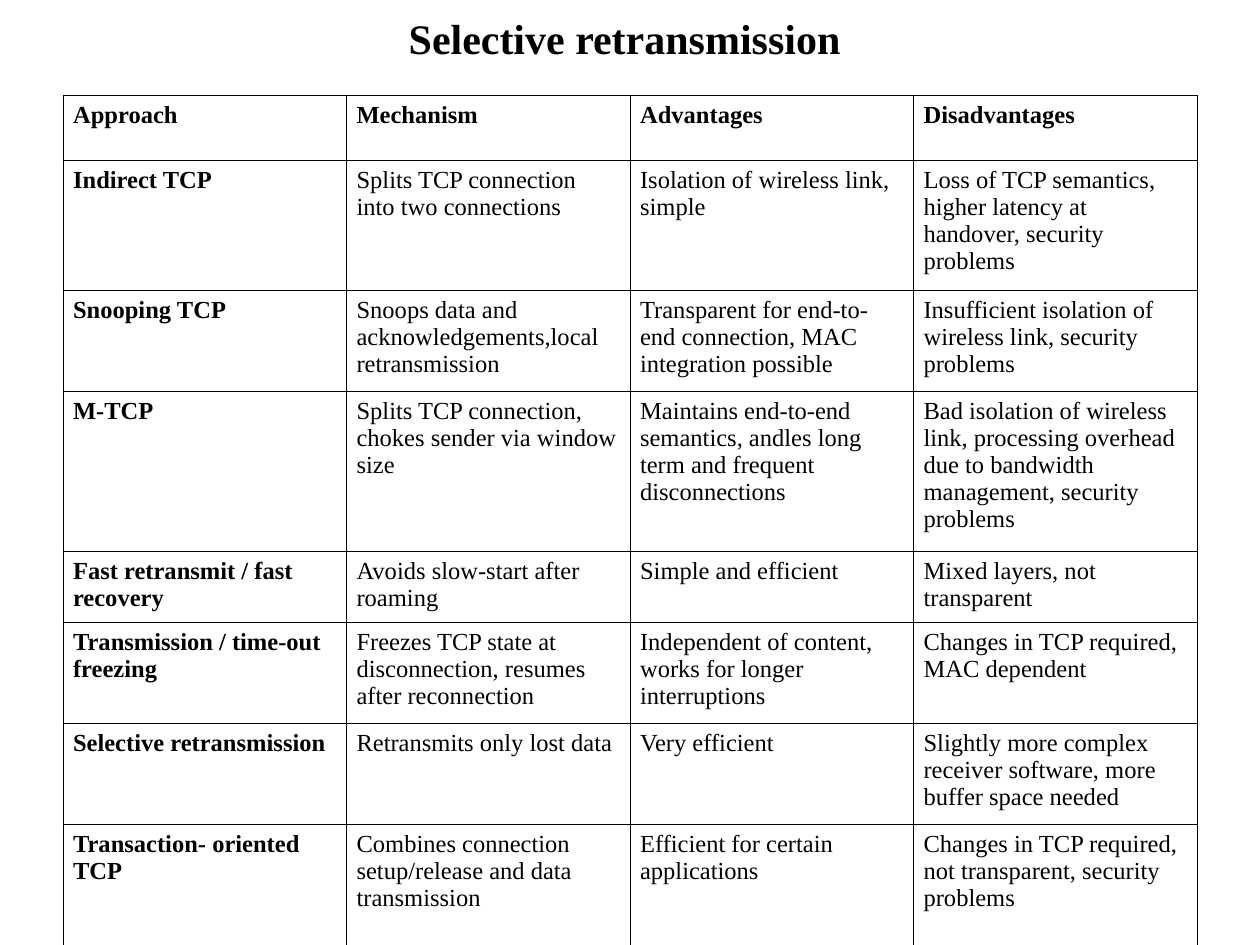
"""Build a slide comparing approaches to TCP over wireless links."""
from dataclasses import dataclass

from lxml.etree import SubElement
from pptx import Presentation
from pptx.dml.color import RGBColor as Color
from pptx.enum.text import MSO_ANCHOR as Anchor, PP_ALIGN as Align
from pptx.oxml.ns import qn
from pptx.util import Inches, Pt


@dataclass(frozen=True)
class Theme:
    font: str = "Times New Roman"
    ink: str = "000000"
    title_size: int = 24
    cell_size: int = 14
    rule: float = 0.45


THEME = Theme()


def write(frame, text, size=THEME.cell_size, bold=False, align=Align.LEFT):
    frame.word_wrap = True
    paragraph = frame.paragraphs[0]
    paragraph.alignment = align
    run = paragraph.add_run()
    run.text = text
    run.font.name = THEME.font
    run.font.size = Pt(size)
    run.font.bold = bold
    run.font.color.rgb = Color.from_string(THEME.ink)


def rule_cell(cell):
    properties = cell._tc.get_or_add_tcPr()
    for side in ("lnL", "lnR", "lnT", "lnB"):
        line = SubElement(properties, qn(f"a:{side}"), w=str(Pt(THEME.rule)))
        fill = SubElement(line, qn("a:solidFill"))
        SubElement(fill, qn("a:srgbClr"), val=THEME.ink)


APPROACHES = [
    (0.51, "Approach", "Mechanism", "Advantages", "Disadvantages"),
    (1.01, "Indirect TCP", "Splits TCP connection into two connections",
     "Isolation of wireless link, simple",
     "Loss of TCP semantics, higher latency at handover, security problems"),
    (0.76, "Snooping TCP", "Snoops data and acknowledgements,local retransmission",
     "Transparent for end-to-end connection, MAC integration possible",
     "Insufficient isolation of wireless link, security problems"),
    (1.26, "M-TCP", "Splits TCP connection, chokes sender via window size",
     "Maintains end-to-end semantics, andles long term and frequent disconnections",
     "Bad isolation of wireless link, processing overhead due to bandwidth "
     "management, security problems"),
    (0.5, "Fast retransmit / fast recovery", "Avoids slow-start after roaming",
     "Simple and efficient", "Mixed layers, not transparent"),
    (0.76, "Transmission / time-out freezing",
     "Freezes TCP state at disconnection, resumes after reconnection",
     "Independent of content, works for longer interruptions",
     "Changes in TCP required, MAC dependent"),
    (0.76, "Selective retransmission", "Retransmits only lost data", "Very efficient",
     "Slightly more complex receiver software, more buffer space needed"),
    (1.01, "Transaction- oriented TCP",
     "Combines connection setup/release and data transmission",
     "Efficient for certain applications",
     "Changes in TCP required, not transparent, security problems"),
]

deck = Presentation()
deck.slide_width, deck.slide_height = Inches(10), Inches(7.5)
slide = deck.slides.add_slide(deck.slide_layouts[6])
margin = deck.slide_width // 20
content_width = deck.slide_width - 2 * margin

heading = slide.shapes.add_textbox(margin, Inches(0.07), content_width, Inches(0.46)).text_frame
heading.vertical_anchor = Anchor.MIDDLE
write(heading, "Selective retransmission ", size=THEME.title_size, bold=True, align=Align.CENTER)

table_height = Inches(sum(height for height, *_ in APPROACHES))
comparison = slide.shapes.add_table(
    len(APPROACHES), 4, margin, Inches(0.76), content_width, table_height).table
comparison.first_row = comparison.horz_banding = False

for row, (height, *facts) in enumerate(APPROACHES):
    comparison.rows[row].height = Inches(height)
    for column, fact in enumerate(facts):
        cell = comparison.cell(row, column)
        cell.margin_left = cell.margin_right = Inches(0.08)
        cell.margin_top = cell.margin_bottom = Inches(0.05)
        rule_cell(cell)
        cell.fill.background()
        write(cell.text_frame, fact, bold=row == 0 or column == 0)

deck.save("out.pptx")
